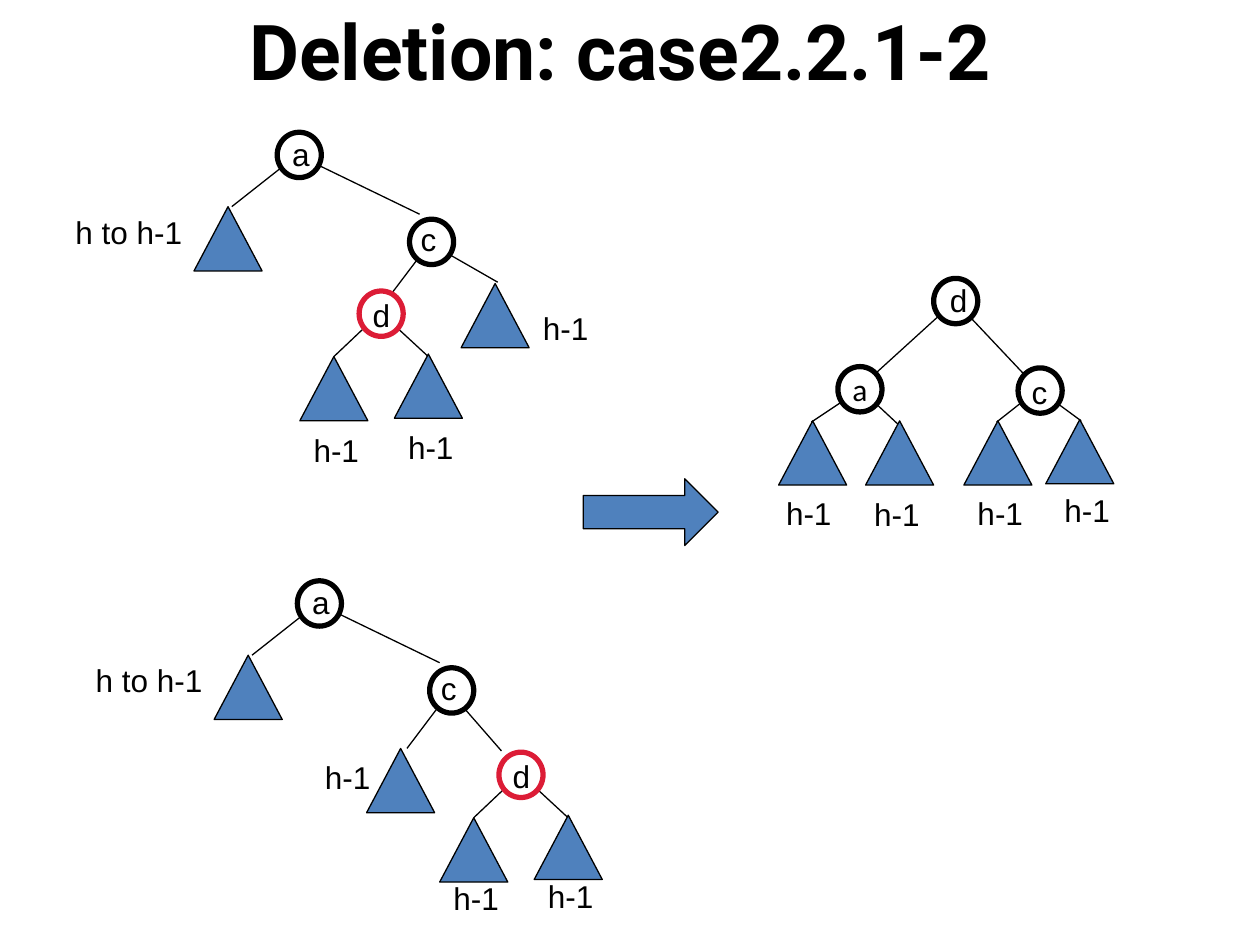
from pptx import Presentation
from pptx.dml.color import RGBColor
from pptx.enum.shapes import MSO_CONNECTOR, MSO_SHAPE
from pptx.enum.text import MSO_ANCHOR, MSO_AUTO_SIZE, PP_ALIGN
from pptx.oxml.ns import qn
from pptx.util import Inches, Pt
from lxml import etree

STRAIGHT = MSO_CONNECTOR.STRAIGHT
CIRCLE = MSO_SHAPE.OVAL
TRIANGLE = MSO_SHAPE.FLOWCHART_EXTRACT
RIGHT_ARROW = MSO_SHAPE.RIGHT_ARROW
MIDDLE = MSO_ANCHOR.MIDDLE
FIT_TEXT = MSO_AUTO_SIZE.SHAPE_TO_FIT_TEXT
CENTER = PP_ALIGN.CENTER

BLACK, WHITE, BLUE, RED = "000000", "FFFFFF", "4F81BD", "DC1C36"


def color(value):
    """Turn a hex string into a colour."""
    return RGBColor.from_string(value)


def style_text(frame, text, size=18, font="Arial", bold=False):
    """Write one line of black text into a frame."""
    frame.text = text
    run_font = frame.paragraphs[0].runs[0].font
    run_font.size = Pt(size)
    run_font.name = font
    run_font.bold = bold
    run_font.color.rgb = color(BLACK)


def draw_shape(slide, preset, left, top, width, height, fill=BLUE, outline=BLACK, weight=0.75):
    """Draw a filled and outlined preset shape."""
    shape = slide.shapes.add_shape(
        preset, Inches(left), Inches(top), Inches(width), Inches(height))
    shape.shadow.inherit = False
    shape.fill.solid()
    shape.fill.fore_color.rgb = color(fill)
    shape.line.color.rgb = color(outline)
    shape.line.width = Pt(weight)
    return shape


def draw_label(slide, left, top, text, width=0.56):
    """Place a one-line label that does not wrap."""
    label = slide.shapes.add_textbox(Inches(left), Inches(top), Inches(width), Inches(0.4))
    style_text(label.text_frame, text)
    label.text_frame.word_wrap = False
    label.text_frame.auto_size = FIT_TEXT


def draw_edges(slide, left, top, parent, children):
    """Draw thin edges from a parent point to each child point."""
    for child in children:
        edge = slide.shapes.add_connector(
            STRAIGHT, Inches(left + parent[0]), Inches(top + parent[1]),
            Inches(left + child[0]), Inches(top + child[1]))
        edge.line.color.rgb = color(BLACK)
        edge.line.width = Pt(0.75)
        etree.SubElement(edge._element.spPr, qn("a:effectLst"))


def draw_node(slide, left, top, letter=None, shift=(0.01, -0.01), outline=BLACK):
    """Draw a tree node, with its letter moved by the given shift."""
    node = draw_shape(slide, CIRCLE, left, top, 0.35, 0.36, WHITE, outline, 3)
    if letter:
        draw_label(slide, left + shift[0], top + shift[1], letter, 0.34)
    return node


def draw_subtree(slide, left, top, shift, text="h-1", width=0.56):
    """Draw a subtree triangle and its height label."""
    draw_shape(slide, TRIANGLE, left, top, 0.54, 0.51)
    draw_label(slide, left + shift[0], top + shift[1], text, width)


def draw_title(slide, left, top, width, height):
    """Place the centred slide title."""
    title = slide.shapes.add_textbox(Inches(left), Inches(top), Inches(width), Inches(height))
    style_text(title.text_frame, "Deletion: case2.2.1-2 ", 44, "Roboto", True)
    title.text_frame.word_wrap = True
    title.text_frame.vertical_anchor = MIDDLE
    title.text_frame.paragraphs[0].alignment = CENTER


def draw_red_branch(slide, left, top, label_drop):
    """Draw the red node d above its two subtrees."""
    draw_edges(slide, left, top, (0.64, 0.17), [(0.27, 0.52), (1.03, 0.53)])
    draw_node(slide, left + 0.47, top, "d", outline=RED)
    for x, y in [(0, 0.52), (0.75, 0.5)]:
        draw_subtree(slide, left + x, top + y, (0.01, label_drop))


def draw_unbalanced_tree(slide, left, top, right_child, subtree, label_shift, branch, label_drop):
    """Draw a tree before deletion, with d on either side of c."""
    draw_edges(slide, left, top, (1.86, 0.18), [(1.34, 0.59), (2.83, 0.65)])
    draw_edges(slide, left, top, (2.91, 0.88), [(2.57, 1.33), right_child])
    draw_node(slide, left + 1.7, top, "a", (0.02, -0.03))
    draw_node(slide, left + 2.75, top + 0.69, "c", (-0.01, -0.04))
    draw_subtree(slide, left + 1.04, top + 0.59, (-1.04, 0), "h to h-1", 1.05)
    draw_subtree(slide, left + subtree[0], top + subtree[1], label_shift)
    draw_red_branch(slide, left + branch[0], top + branch[1], label_drop)


def draw_balanced_tree(slide, left, top):
    """Draw the tree after restructuring, with d at the root."""
    draw_edges(slide, left, top, (1.4, 0.18), [(0.63, 0.88), (2.06, 0.88)])
    draw_edges(slide, left, top, (0.65, 0.88), [(0.26, 1.14), (0.95, 1.16)])
    draw_edges(slide, left, top, (2.06, 0.88), [(1.73, 1.14), (2.4, 1.13)])
    draw_node(slide, left + 1.23, top, "d", (0.03, -0.03))
    left_node = draw_node(slide, left + 0.47, top + 0.7)
    style_text(left_node.text_frame, "a", font="Calibri")
    left_node.text_frame.word_wrap = False
    left_node.text_frame.vertical_anchor = MIDDLE
    left_node.text_frame.paragraphs[0].alignment = CENTER
    draw_node(slide, left + 1.9, top + 0.71, "c")
    for x, y, shift in [(0, 1.13, (-0.04, 0.53)), (0.69, 1.13, (-0.03, 0.54)),
                        (1.47, 1.13, (0.01, 0.53)), (2.12, 1.12, (0.05, 0.52))]:
        draw_subtree(slide, left + x, top + y, shift)


def main():
    """Build the slide and save it."""
    deck = Presentation()
    deck.slide_width, deck.slide_height = Inches(10), Inches(7.5)
    slide = deck.slides.add_slide(deck.slide_layouts[6])
    draw_title(slide, 0.5, 0.06, 9, 0.67)
    draw_balanced_tree(slide, 6.18, 2.21)
    draw_shape(slide, RIGHT_ARROW, 4.63, 3.8, 1.07, 0.53)
    draw_unbalanced_tree(slide, 0.5, 1.05, right_child=(3.45, 1.19), subtree=(3.16, 1.2),
                         label_shift=(0.55, 0.15), branch=(1.88, 1.26), label_drop=0.54)
    draw_unbalanced_tree(slide, 0.66, 4.61, right_child=(3.32, 1.35), subtree=(2.25, 1.33),
                         label_shift=(-0.43, 0.03), branch=(2.83, 1.36), label_drop=0.44)
    deck.save("out.pptx")


if __name__ == "__main__":
    main()
